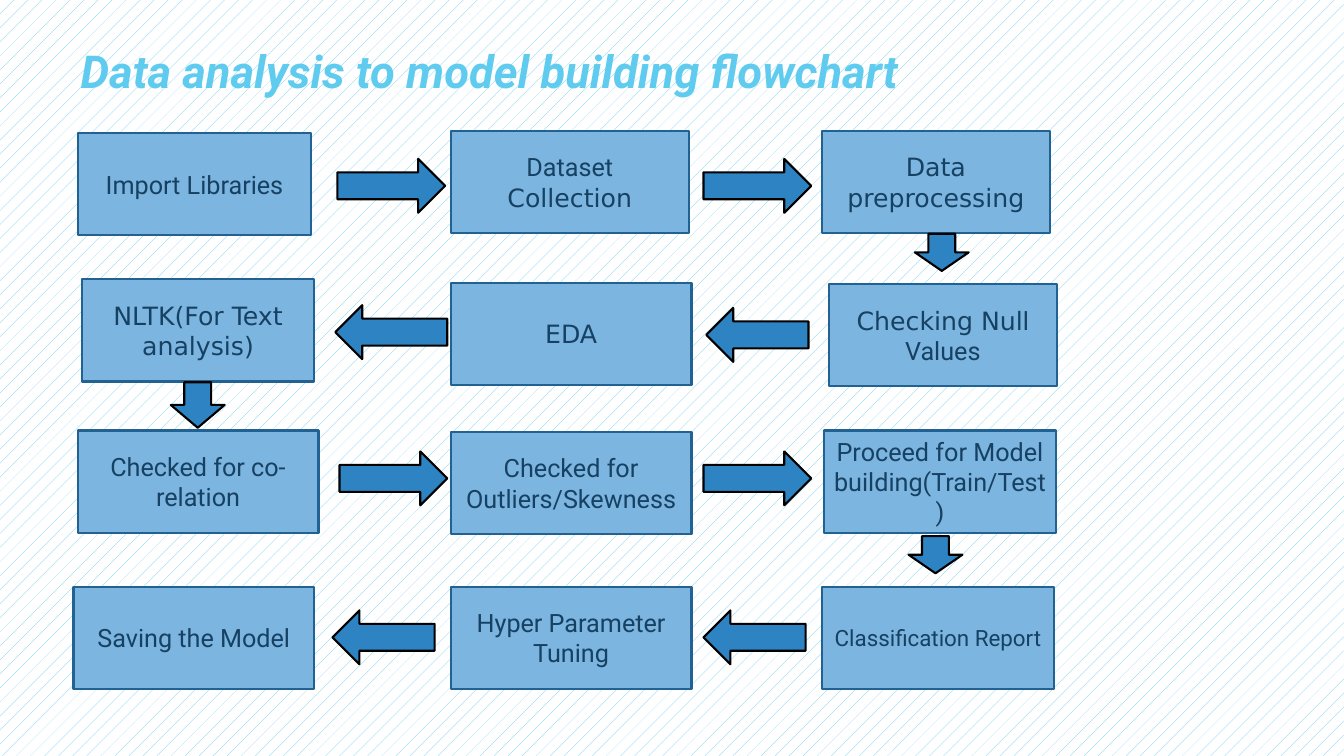
from pptx import Presentation
from pptx.dml.color import RGBColor
from pptx.enum.dml import MSO_PATTERN
from pptx.enum.shapes import MSO_SHAPE
from pptx.enum.text import MSO_ANCHOR, PP_ALIGN
from pptx.util import Pt

ROBOTO, DEJAVU = "Roboto", "DejaVu Sans"
SKY, WHITE, BLACK = "5FCBEF", "FFFFFF", "000000"
STEP_FILL, STEP_LINE, STEP_TEXT = "7CB5E0", "226292", "174162"
ARROW_FILL = "2E83C3"
STEP_HEIGHT = 73
ARROW_BREADTH = 38.5

# left, top, width, runs of (wording, font)
STEPS = [
    (322, 93.5, 170, [("Dataset", ROBOTO), (" Collection", DEJAVU)]),
    (587, 93.5, 163, [("Data preprocessing", DEJAVU)]),
    (592, 203, 163, [("Checking Nul", DEJAVU), ("l Values", ROBOTO)]),
    (322, 202, 172, [("EDA", DEJAVU)]),
    (58.5, 199.5, 166, [("NLTK(For Text analysis)", DEJAVU)]),
    (55.5, 307.5, 172, [("Checked for co-relation", ROBOTO)]),
    (322, 308.5, 172, [("Checked for Outliers/Skewness", ROBOTO)]),
    (588.5, 307.5, 166, [("Proceed for Model building(Train/Test)", ROBOTO)]),
    (52.5, 419, 172, [("Saving the Model", ROBOTO)]),
    (322, 419, 172, [("Hyper Parameter Tuning", ROBOTO)]),
]

# left, top, length along the direction of flow
ARROWS = {
    MSO_SHAPE.RIGHT_ARROW: [(241, 113.5, 77), (502.5, 113.5, 77),
                            (242.5, 322.5, 77), (502.5, 322.5, 77)],
    MSO_SHAPE.LEFT_ARROW: [(504.5, 220, 73), (239.5, 218, 80),
                           (502.5, 436, 73), (237.5, 436, 73)],
    MSO_SHAPE.DOWN_ARROW: [(653.5, 167, 26.5), (122, 273, 32.5),
                           (649, 383, 26.5)],
}


def color(hex_string):
    return RGBColor.from_string(hex_string)


def paint_background(slide):
    fill = slide.background.fill
    fill.patterned()
    fill.pattern = MSO_PATTERN.PERCENT_5
    fill.fore_color.rgb = color(SKY)
    fill.back_color.rgb = color(WHITE)


def style_font(font, name, size, hex_string):
    font.name = name
    font.size = Pt(size)
    font.color.rgb = color(hex_string)


def add_title(slide, wording):
    title = slide.shapes.add_textbox(Pt(50.5), Pt(27), Pt(677), Pt(56))
    title.text_frame.word_wrap = True
    title.text_frame.text = wording
    font = title.text_frame.paragraphs[0].runs[0].font
    style_font(font, ROBOTO, 32.4, SKY)
    font.bold = font.italic = True


def add_outlined(slide, kind, left, top, width, height, fill, line):
    shape = slide.shapes.add_shape(kind, Pt(left), Pt(top), Pt(width), Pt(height))
    shape.shadow.inherit = False
    shape.fill.solid()
    shape.fill.fore_color.rgb = color(fill)
    shape.line.color.rgb = color(line)
    shape.line.width = Pt(1.5)
    return shape


def add_step(slide, left, top, width, wording, size=18,
             kind=MSO_SHAPE.FLOWCHART_PROCESS):
    step = add_outlined(slide, kind, left, top, width, STEP_HEIGHT,
                        STEP_FILL, STEP_LINE)
    frame = step.text_frame
    frame.word_wrap = True
    frame.vertical_anchor = MSO_ANCHOR.MIDDLE
    paragraph = frame.paragraphs[0]
    paragraph.alignment = PP_ALIGN.CENTER
    for part, font_name in wording:
        run = paragraph.add_run()
        run.text = part
        style_font(run.font, font_name, size, STEP_TEXT)


def add_arrow(slide, kind, left, top, length):
    width, height = length, ARROW_BREADTH
    if kind == MSO_SHAPE.DOWN_ARROW:
        width, height = height, width
    add_outlined(slide, kind, left, top, width, height, ARROW_FILL, BLACK)


def main():
    deck = Presentation()
    deck.slide_width, deck.slide_height = Pt(960), Pt(540)
    slide = deck.slides.add_slide(deck.slide_layouts[6])
    paint_background(slide)
    add_title(slide, "Data analysis to model building flowchart")
    add_step(slide, 56, 95, 166, [("Import Libraries", ROBOTO)],
             kind=MSO_SHAPE.RECTANGLE)
    for step in STEPS:
        add_step(slide, *step)
    add_step(slide, 587, 419, 166, [("Classification Report", ROBOTO)], size=16)
    for kind, places in ARROWS.items():
        for place in places:
            add_arrow(slide, kind, *place)
    deck.save("out.pptx")


if __name__ == "__main__":
    main()
